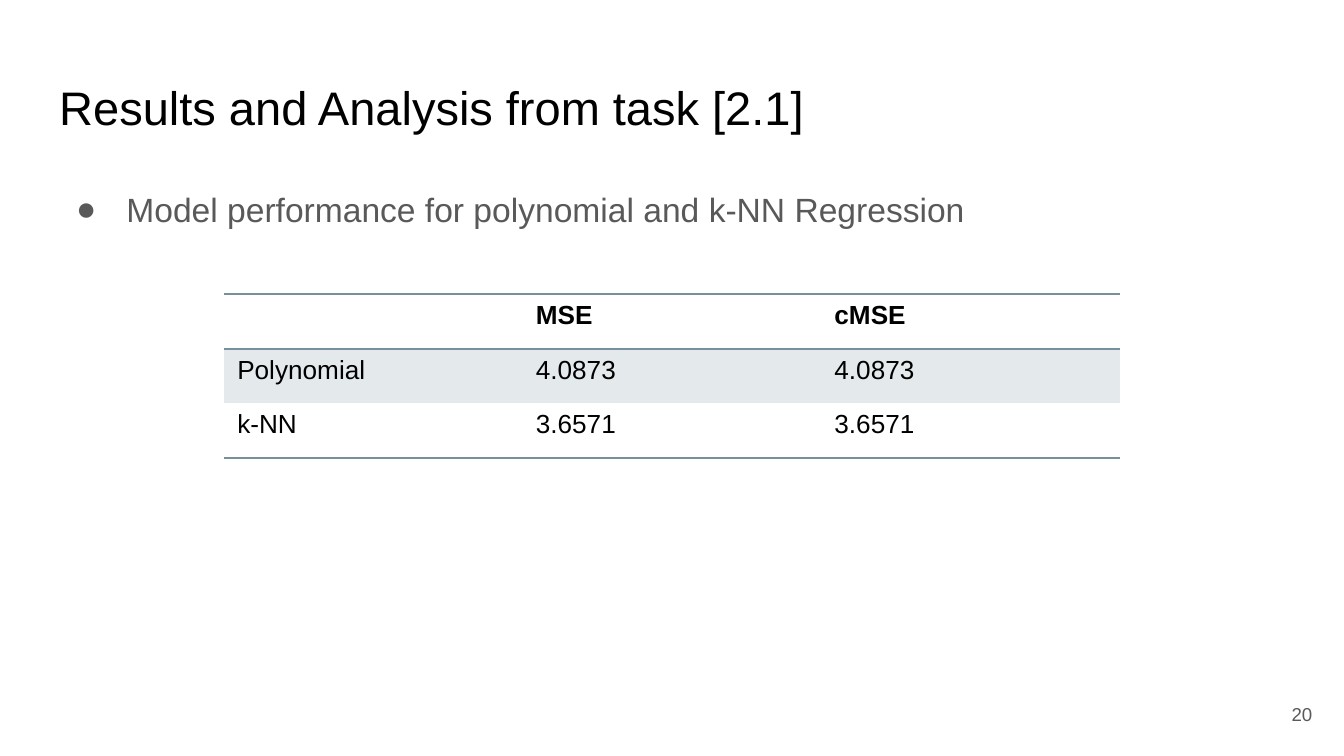
from lxml.etree import SubElement
from pptx import Presentation
from pptx.dml.color import RGBColor
from pptx.enum.text import MSO_ANCHOR, PP_ALIGN
from pptx.oxml.ns import qn
from pptx.util import Cm, Pt

TITLE = "Results and Analysis from task [2.1]"
BULLET = "Model performance for polynomial and k-NN Regression"
PAGE_NUMBER = "20"
RESULTS = [
    ("", "MSE", "cMSE"),
    ("Polynomial", "4.0873", "4.0873"),
    ("k-NN", "3.6571", "3.6571"),
]
THEME = {
    "font": "Arial",
    "black": "000000",
    "grey": "595959",
    "rule": "78909C",
    "band": "E4E9EB",
    "title": 25.2,
    "body": 18,
    "table": 14,
    "number": 10,
}


def style(paragraph, size, color, bold=False):
    font = paragraph.font
    font.name = THEME["font"]
    font.size = Pt(THEME[size])
    font.color.rgb = RGBColor.from_string(THEME[color])
    font.bold = bold


def add_text(page, text, place, size, color):
    box = page.shapes.add_textbox(*map(Cm, place))
    frame = box.text_frame
    frame.word_wrap = True
    frame.margin_left = frame.margin_right = Cm(0.25)
    frame.margin_top = frame.margin_bottom = Cm(0.25)
    para = frame.paragraphs[0]
    para.text = text
    return frame, para


def add_bullet(para):
    properties = para._p.get_or_add_pPr()
    properties.set("marL", str(Cm(1.27)))
    properties.set("indent", str(-Cm(0.95)))
    para.line_spacing = 1.15
    color = SubElement(properties, qn("a:buClr"))
    SubElement(color, qn("a:srgbClr"), val=THEME["grey"])
    SubElement(properties, qn("a:buFont"), typeface=THEME["font"])
    SubElement(properties, qn("a:buChar"), char="●")


def set_borders(cell, ruled_edges):
    properties = cell._tc.get_or_add_tcPr()
    for edge in ("lnL", "lnR", "lnT", "lnB"):
        line = SubElement(properties, qn(f"a:{edge}"), w=str(Pt(1)))
        if edge in ruled_edges:
            fill = SubElement(line, qn("a:solidFill"))
            SubElement(fill, qn("a:srgbClr"), val=THEME["rule"])
        else:
            SubElement(line, qn("a:noFill"))


def add_results(page):
    rows, columns = len(RESULTS), len(RESULTS[0])
    place = map(Cm, (4.23, 5.56, 16.93, 3.1))
    table = page.shapes.add_table(rows, columns, *place).table
    table.first_row = table.horz_banding = False
    ruled_edges = [("lnT", "lnB"), ("lnT",), ("lnB",)]
    for row, values in enumerate(RESULTS):
        for column, value in enumerate(values):
            cell = table.cell(row, column)
            cell.text = value
            style(cell.text_frame.paragraphs[0], "table", "black", row == 0)
            set_borders(cell, ruled_edges[row])
            if row == 1:
                cell.fill.solid()
                cell.fill.fore_color.rgb = RGBColor.from_string(THEME["band"])
            else:
                cell.fill.background()


def main():
    """Build the regression results slide."""
    deck = Presentation()
    deck.slide_width, deck.slide_height = Cm(25.4), Cm(14.29)
    page = deck.slides.add_slide(deck.slide_layouts[6])

    frame, para = add_text(page, TITLE, (0.87, 1.24, 23.67, 1.6), "title", "black")
    style(para, "title", "black")

    frame, para = add_text(page, BULLET, (0.87, 3.2, 23.67, 9.5), "body", "grey")
    add_bullet(para)
    style(para, "body", "grey")

    frame, para = add_text(page, PAGE_NUMBER, (23.53, 12.95, 1.52, 1.09), "number", "grey")
    frame.vertical_anchor = MSO_ANCHOR.MIDDLE
    para.alignment = PP_ALIGN.RIGHT
    style(para, "number", "grey")

    add_results(page)
    deck.save("out.pptx")


if __name__ == "__main__":
    main()
